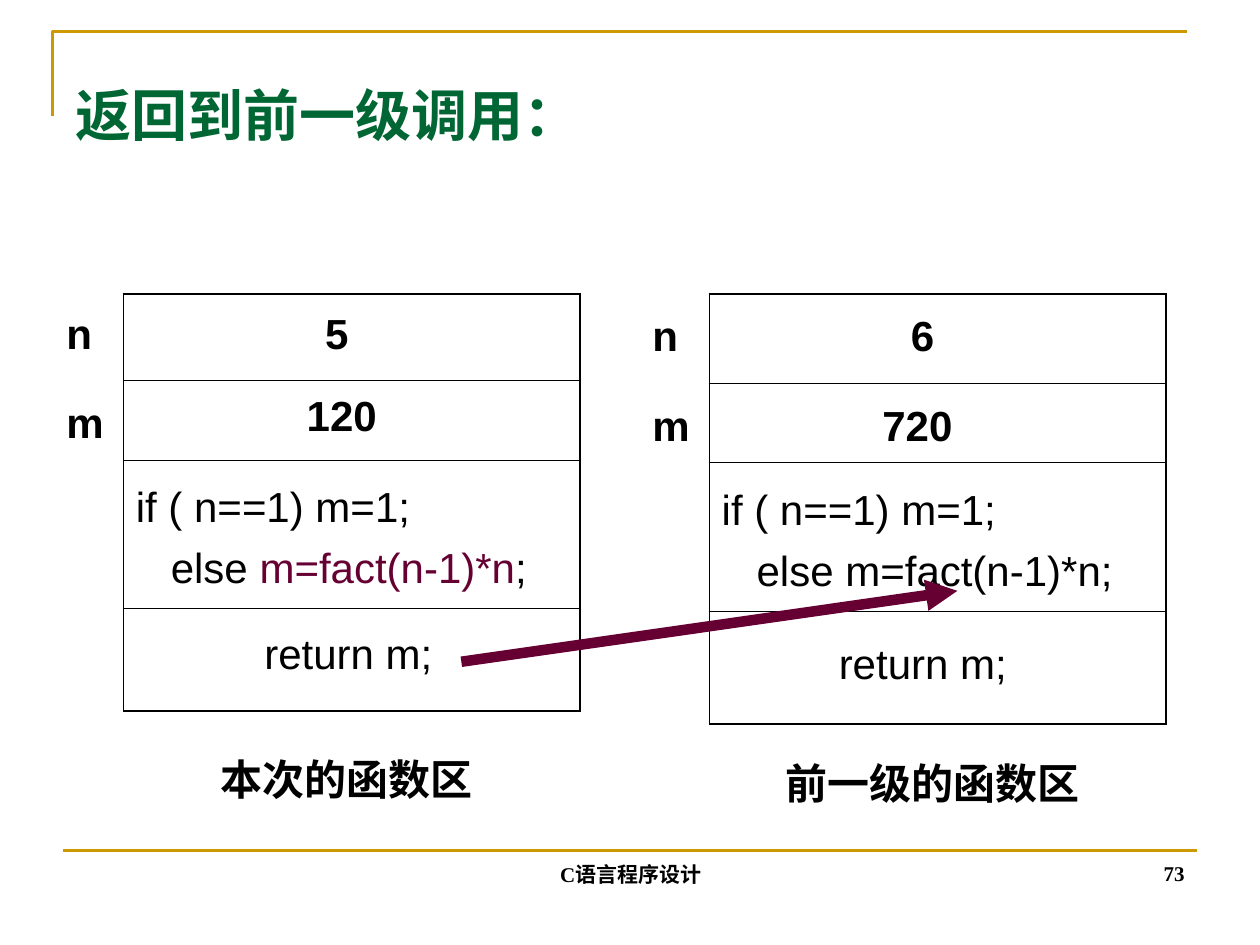
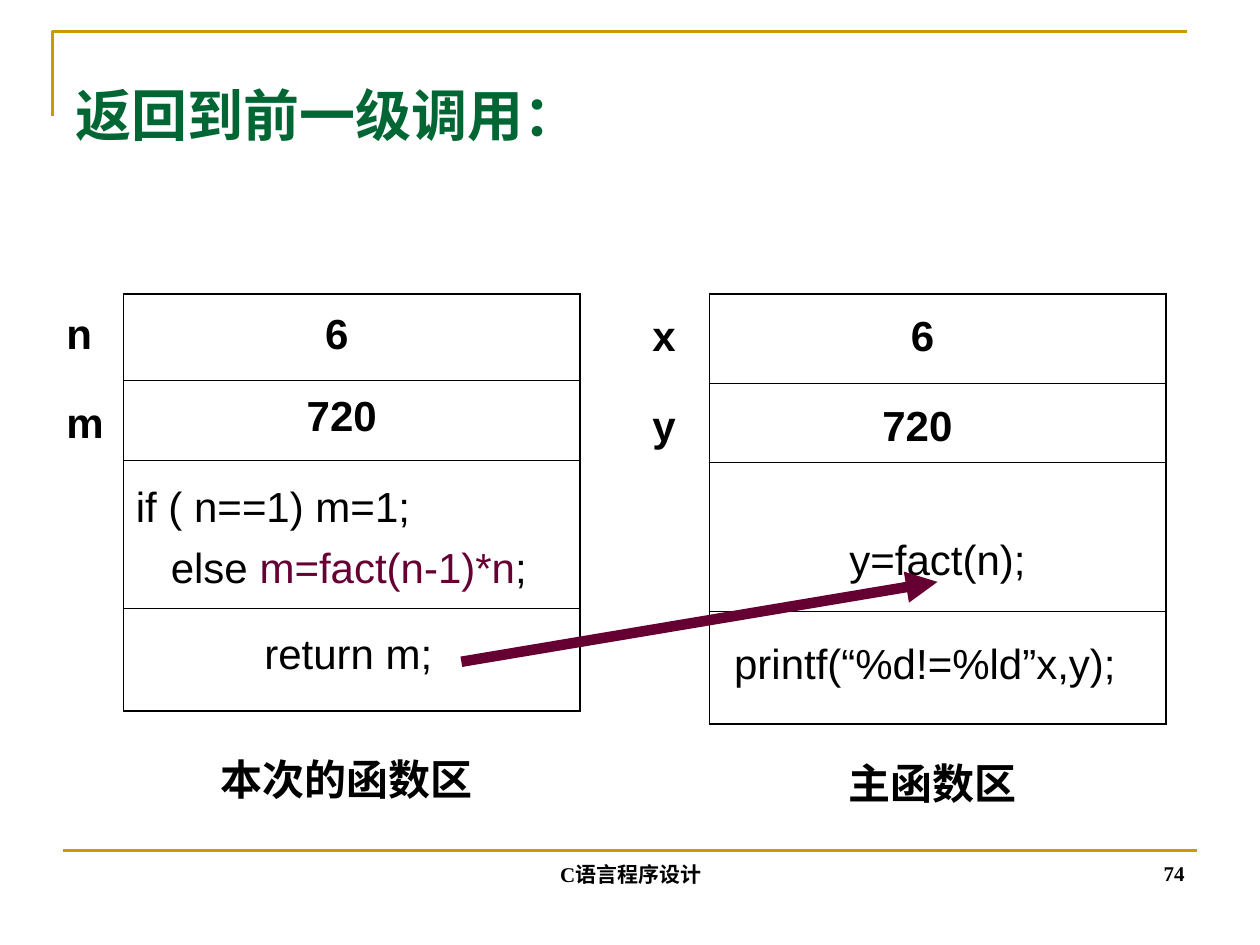
from lxml.etree import SubElement
from pptx import Presentation
from pptx.dml.color import RGBColor
from pptx.enum.shapes import MSO_CONNECTOR, MSO_SHAPE
from pptx.enum.text import MSO_ANCHOR, PP_ALIGN
from pptx.oxml import parse_xml
from pptx.oxml.ns import nsdecls, qn
from pptx.util import Cm, Pt

BLACK = RGBColor(0x00, 0x00, 0x00)
WHITE = RGBColor(0xFF, 0xFF, 0xFF)
GOLD = RGBColor(0xCC, 0x99, 0x00)
GREEN = RGBColor(0x00, 0x66, 0x33)
PLUM = RGBColor(0x66, 0x00, 0x33)

TITLE = "返回到前一级调用："
COURSE = "C语言程序设计"
TABLE_TOP = 5.92
TABLE_WIDTH = 9.2
LINE_HEIGHT = 1.27
OUTER, INNER = Pt(1.08), Pt(0.45)

# Each panel stands for the memory area of one function.
LEFT_AREA = dict(
    left=2.49, rows=(1.75, 1.6, 3.0, 2.06), first_top=6.07, second_top=7.87,
    result_top=7.72, result_width=2.8, caption_top=15.06)
RIGHT_AREA = dict(
    left=14.3, rows=(1.81, 1.6, 3.0, 2.26), first_top=6.12, second_top=7.92,
    result_top=7.92, result_width=2.39, caption_top=15.14)

IF_LINE = [("if ( n==1) m=1;", BLACK)]
ACTIVE_CALL = [IF_LINE, [("   else ", BLACK), ("m=fact(n-1)*n", PLUM), (";", BLACK)]]
WAITING_CALL = [IF_LINE, [("   else m=fact(n-1)*n;", BLACK)]]
MAIN_CALL = [[("y=fact(n);", BLACK)]]

CURRENT = dict(
    LEFT_AREA, names="nm", code=ACTIVE_CALL, code_box=(9.47, 2.59), code_align=PP_ALIGN.LEFT,
    last="return m;", last_box=(5.08, 12.52, 3.89, LINE_HEIGHT), caption="本次的函数区")
PREVIOUS = dict(
    RIGHT_AREA, names="nm", code=WAITING_CALL, code_box=(9.53, 2.59), code_align=PP_ALIGN.LEFT,
    last="return m;", last_box=(16.66, 12.73, 3.89, LINE_HEIGHT), caption="前一级的函数区")
MAIN = dict(
    RIGHT_AREA, names="xy", code=MAIN_CALL, code_box=(10.52, 1.37), code_align=PP_ALIGN.CENTER,
    last="printf(“%d!=%ld”x,y);", last_box=(14.55, 12.73, 8.2, LINE_HEIGHT), caption="主函数区")

# Page number, (area, argument, result) pairs, arrow tip
STEPS = [
    ("73", [(PREVIOUS, "6", "720"), (CURRENT, "5", "120")], (19.3, 11.91)),
    ("74", [(MAIN, "6", "720"), (CURRENT, "6", "720")], (18.9, 11.73)),
]


def add_text(slide, box, paragraphs, size=24, bold=True, align=PP_ALIGN.LEFT, font="Arial",
             anchor=MSO_ANCHOR.TOP, wrap=True, fill=None, spacing=None):
    """Place paragraphs, given as lists of (text, colour) runs or as one black string."""
    if isinstance(paragraphs, str):
        paragraphs = [[(paragraphs, BLACK)]]
    place = [Cm(length) for length in box]
    if fill is None:
        shape = slide.shapes.add_textbox(*place)
    else:
        shape = slide.shapes.add_shape(MSO_SHAPE.RECTANGLE, *place)
        shape.shadow.inherit = False
        shape.fill.solid()
        shape.fill.fore_color.rgb = fill
        shape.line.fill.background()
    frame = shape.text_frame
    frame.word_wrap = wrap
    frame.vertical_anchor = anchor
    for index, runs in enumerate(paragraphs):
        paragraph = frame.add_paragraph() if index else frame.paragraphs[0]
        paragraph.alignment = align
        if spacing:
            paragraph.line_spacing = spacing
        if index:
            paragraph.space_before = Pt(3)
        for text, colour in runs:
            run = paragraph.add_run()
            run.text = text
            run.font.name = font
            run.font.size = Pt(size)
            run.font.bold = bold
            run.font.color.rgb = colour


def add_line(slide, start, end, colour, width):
    line = slide.shapes.add_connector(
        MSO_CONNECTOR.STRAIGHT, *[Cm(length) for length in (*start, *end)])
    line.line.color.rgb = colour
    line.line.width = Pt(width)
    SubElement(line._element.spPr, qn("a:effectLst"))
    return line


prs = Presentation()
prs.slide_width, prs.slide_height = Cm(25.4), Cm(19.05)

for page, areas, arrow_tip in STEPS:
    slide = prs.slides.add_slide(prs.slide_layouts[6])

    # Gold corner and footer rule
    builder = slide.shapes.build_freeform(Cm(1.06), Cm(2.33))
    builder.add_line_segments([(Cm(1.06), Cm(0.63)), (Cm(23.92), Cm(0.63))], close=False)
    corner = builder.convert_to_shape()
    corner.shadow.inherit = False
    corner.fill.background()
    corner.line.color.rgb = GOLD
    corner.line.width = Pt(1.5)
    add_line(slide, (1.27, 17.15), (24.13, 17.15), GOLD, 1.5)

    add_text(slide, (1.27, 1.5, 22.86, 3.18), [[(TITLE, GREEN)]], size=32,
             font="Times New Roman")
    for text, box, align in [
        (page, (18.21, 16.72, 5.92, 1.27), PP_ALIGN.RIGHT),
        (COURSE, (8.69, 16.74, 8.05, 1.27), PP_ALIGN.CENTER),
    ]:
        add_text(slide, box, text, size=12, align=align, font="Times New Roman",
                 anchor=MSO_ANCHOR.BOTTOM)

    for area, argument, result in areas:
        left, rows = area["left"], area["rows"]
        memory = slide.shapes.add_table(
            len(rows), 1, Cm(left), Cm(TABLE_TOP), Cm(TABLE_WIDTH), Cm(sum(rows))).table
        memory.first_row = memory.horz_banding = False
        for index, height in enumerate(rows):
            memory.rows[index].height = Cm(height)
            cell = memory.cell(index, 0)
            cell.fill.background()
            top = INNER if index else OUTER
            bottom = INNER if index < len(rows) - 1 else OUTER
            edges = [("L", OUTER), ("R", OUTER), ("T", top), ("B", bottom)]
            for position, (side, width) in enumerate(edges):
                cell._tc.tcPr.insert(position, parse_xml(
                    f'<a:ln{side} {nsdecls("a")} w="{int(width)}"><a:solidFill>'
                    f'<a:srgbClr val="{BLACK}"/></a:solidFill></a:ln{side}>'))

        for name, top in zip(area["names"], (area["first_top"], area["second_top"])):
            add_text(slide, (left - 1.4, top, 1.8, LINE_HEIGHT), name)
        add_text(slide, (left + 3.4, area["first_top"], 1.8, LINE_HEIGHT), argument,
                 align=PP_ALIGN.CENTER)
        add_text(slide, (left + 3, area["result_top"], area["result_width"], LINE_HEIGHT),
                 result, align=PP_ALIGN.CENTER)
        code_top, code_height = area["code_box"]
        add_text(slide, (left, code_top, TABLE_WIDTH, code_height), area["code"], bold=False,
                 align=area["code_align"], spacing=1.1)
        add_text(slide, area["last_box"], area["last"], bold=False, wrap=False)
        add_text(slide, (left + 1.2, area["caption_top"], 6.6, LINE_HEIGHT), area["caption"],
                 align=PP_ALIGN.CENTER, fill=WHITE)

    return_arrow = add_line(slide, (9.3, 13.34), arrow_tip, PLUM, 6)
    SubElement(return_arrow.line._get_or_add_ln(), qn("a:tailEnd"), type="triangle")

prs.save("out.pptx")
